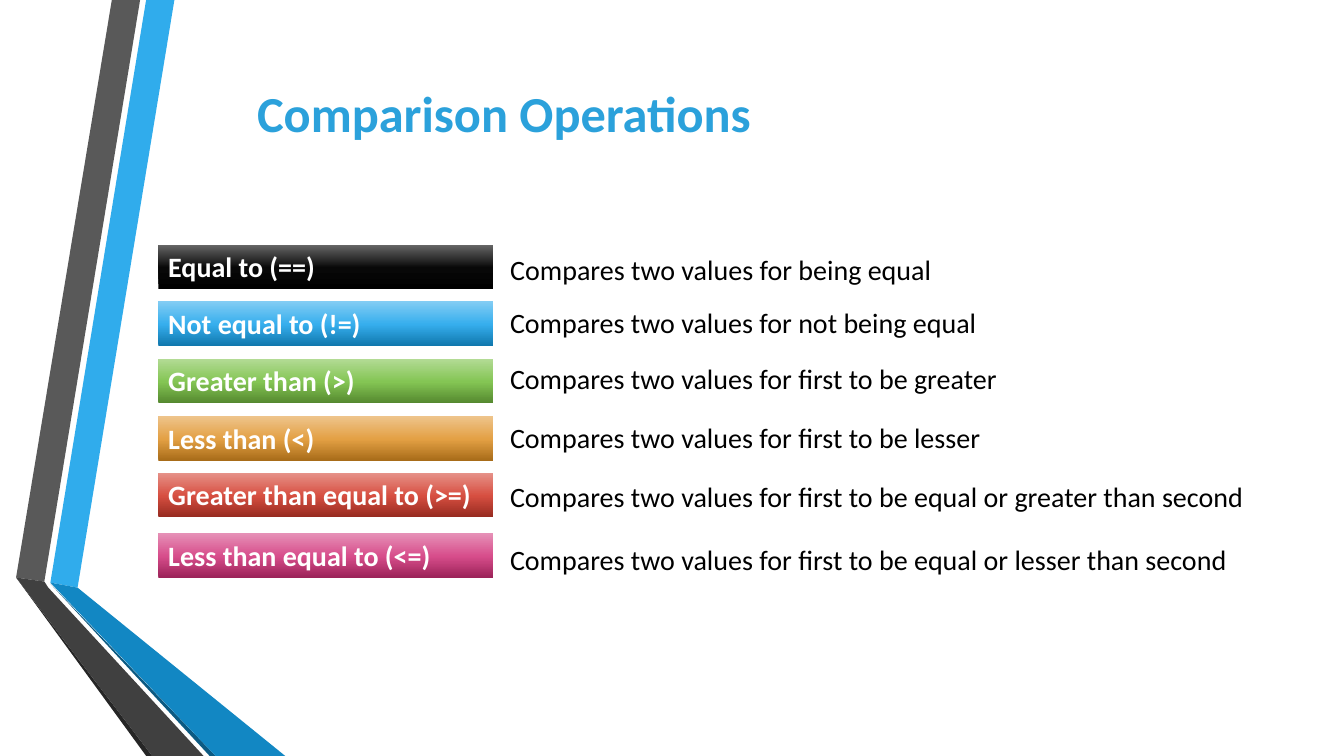
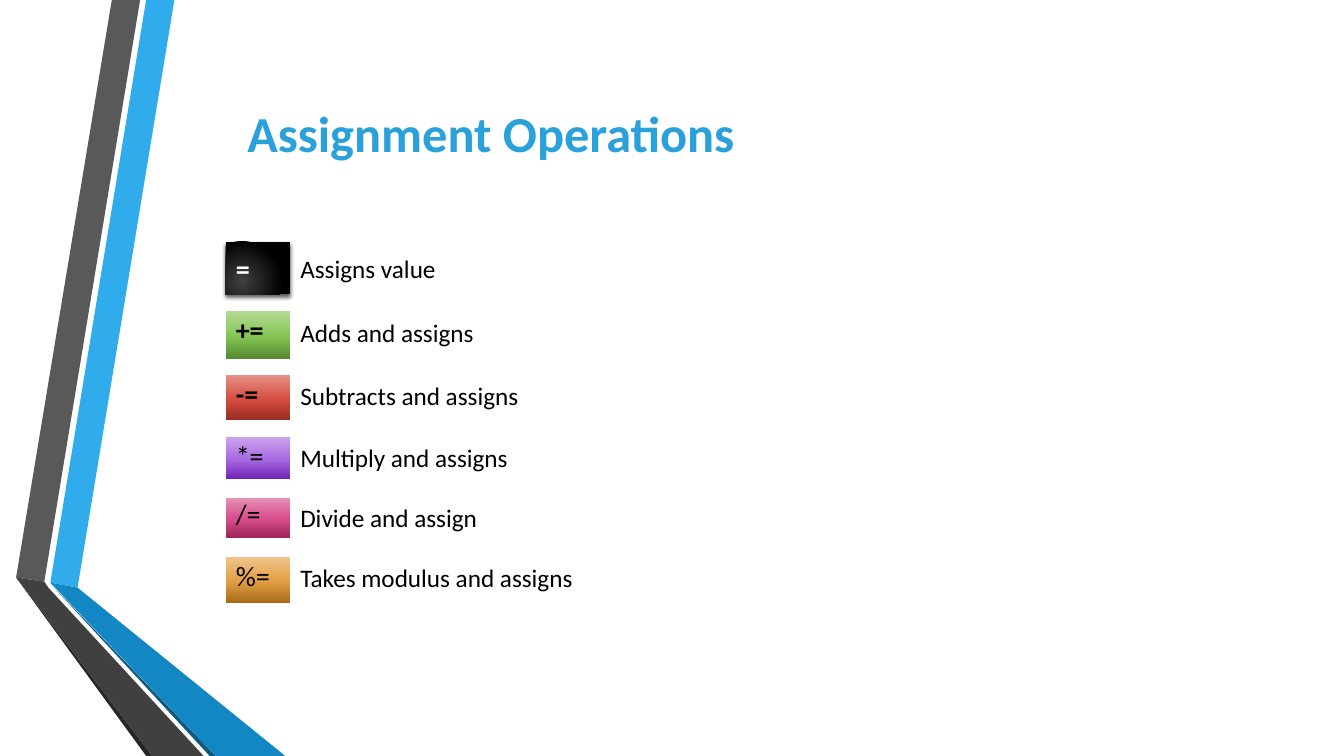
"""Build two slides on comparison and assignment operators."""
import pptx
import pptx.dml.color
import pptx.enum.shapes
import pptx.enum.text
import pptx.oxml
import pptx.oxml.ns
import pptx.util

Inches = pptx.util.Inches
ANCHOR = pptx.enum.text.MSO_ANCHOR
ALIGN = pptx.enum.text.PP_ALIGN
RECTANGLE = pptx.enum.shapes.MSO_SHAPE.RECTANGLE

COLORS = {
    "title": "2BA1DB", "text": "000000", "light": "FFFFFF",
    "blue": "30ACEC", "blue fold": "1287C3", "blue edge": "0C5A82",
    "gray": "595959", "gray fold": "404040", "gray edge": "262626",
}
GRADIENTS = {
    "black": ("000000", "080808", "666666"),
    "blue": ("1078AE", "36AEED", "83CDF4"),
    "green": ("55892F", "84C554", "B3DB95"),
    "orange": ("A86C19", "E3A044", "EEC48B"),
    "red": ("972B20", "D74F41", "E69289"),
    "purple": ("7124B7", "A96BE2", "CAA3ED"),
    "pink": ("9C2359", "D74D8B", "E691B7"),
    "glow": ("404040", "000000"),
}
LINEAR = '<a:lin ang="16200000" scaled="0"/>'
RADIAL = '<a:path path="circle"><a:fillToRect l="50000" t="100000" r="100000" b="50000"/></a:path>'
NAMESPACE = pptx.oxml.ns.nsdecls("a")


def write_text(shape, text, size=20, color="text", bold=False, align=ALIGN.LEFT,
               anchor=ANCHOR.TOP, spacing=1.0):
    """Put one formatted paragraph into a shape."""
    frame = shape.text_frame
    frame.word_wrap = True
    frame.auto_size = pptx.enum.text.MSO_AUTO_SIZE.NONE
    frame.vertical_anchor = anchor
    paragraph = frame.paragraphs[0]
    if shape.is_placeholder:
        properties = paragraph._p.get_or_add_pPr()
        properties.set("marL", "0")
        properties.set("indent", "0")
        properties.append(pptx.oxml.parse_xml(f"<a:buNone {NAMESPACE}/>"))
    paragraph.alignment = align
    paragraph.line_spacing = spacing
    paragraph.space_before = pptx.util.Pt(0)
    run = paragraph.add_run()
    run.text = text
    run.font.name = "Calibri"
    run.font.size = pptx.util.Pt(size)
    run.font.bold = bold
    run.font.color.rgb = pptx.dml.color.RGBColor.from_string(COLORS[color])


def fill_gradient(shape, name, direction=LINEAR):
    """Fill a shape with a named gradient, without outline or shadow."""
    shape.fill.gradient()
    gradient = shape.element.spPr.find(pptx.oxml.ns.qn("a:gradFill"))
    colors = GRADIENTS[name]
    positions = (0, 48000, 100000) if len(colors) == 3 else (0, 100000)
    stops = "".join(f'<a:gs pos="{position}"><a:srgbClr val="{color}"/></a:gs>'
                    for position, color in zip(positions, colors))
    gradient.getparent().replace(gradient, pptx.oxml.parse_xml(
        f'<a:gradFill {NAMESPACE} rotWithShape="1"><a:gsLst>{stops}</a:gsLst>{direction}</a:gradFill>'))
    shape.line.fill.background()
    shape.shadow.inherit = False


presentation = pptx.Presentation()
presentation.slide_width = Inches(13.33)
presentation.slide_height = Inches(7.5)
layout = presentation.slide_layouts[1]

titles = [
    ("Comparison Operations", 2.19, 0.8, 5.62, 0.63),
    ("Assignment Operations", 2.07, 0.94, 5.6, 0.74),
]
slides = []
for text, left, top, width, height in titles:
    slide = presentation.slides.add_slide(layout)
    title = slide.shapes.title
    title.left, title.top = Inches(left), Inches(top)
    title.width, title.height = Inches(width), Inches(height)
    write_text(title, text, size=36, color="title", bold=True,
               align=ALIGN.CENTER, anchor=ANCHOR.MIDDLE)
    slides.append(slide)
comparison_slide, assignment_slide = slides

bands = [
    ("blue", [(0.5, 5.78), (0.77, 5.83), (1.73, 0), (1.45, 0)]),
    ("gray", [(1.39, 0), (1.11, 0), (0.16, 5.73), (0.44, 5.77)]),
    ("gray edge", [(0.16, 5.73), (1.45, 7.5), (1.51, 7.5)]),
    ("blue edge", [(0.5, 5.79), (2.08, 7.5), (2.14, 7.5)]),
    ("blue fold", [(0.5, 5.78), (2.14, 7.5), (2.83, 7.5), (0.77, 5.83)]),
    ("gray fold", [(2.02, 7.5), (0.48, 5.83), (0.44, 5.77), (0.16, 5.73), (1.51, 7.5)]),
]
for number, (color, points) in enumerate(bands, start=101):
    corners = [(Inches(x), Inches(y)) for x, y in points]
    builder = comparison_slide.shapes.build_freeform(*corners[0])
    builder.add_line_segments(corners[1:], close=True)
    band = builder.convert_to_shape()
    band.fill.solid()
    band.fill.fore_color.rgb = pptx.dml.color.RGBColor.from_string(COLORS[color])
    band.line.fill.background()
    band.shadow.inherit = False
    band.element.nvSpPr.cNvPr.set("id", str(number))
    layout.shapes.element.append(band.element)

comparisons = [
    ("Equal to (==)", "black", 2.43, "Compares two values for being equal", 2.46),
    ("Not equal to (!=)", "blue", 2.99, "Compares two values for not being equal", 3.02),
    ("Greater than (>)", "green", 3.56, "Compares two values for first to be greater", 3.57),
    ("Less than (<)", "orange", 4.13, "Compares two values for first to be lesser", 4.16),
    ("Greater than equal to (>=)", "red", 4.69,
     "Compares two values for first to be equal or greater than second", 4.75),
    ("Less than equal to (<=)", "pink", 5.29,
     "Compares two values for first to be equal or lesser than second", 5.37),
]
for index, (operator, gradient_name, bar_top, meaning, meaning_top) in enumerate(comparisons):
    bar = comparison_slide.shapes.add_shape(
        RECTANGLE, Inches(1.57), Inches(bar_top), Inches(3.32), Inches(0.44))
    fill_gradient(bar, gradient_name)
    write_text(bar, operator, color="light", bold=True)
    place = Inches(4.96), Inches(meaning_top), Inches(7.61), Inches(0.42)
    if index == 0:
        description = comparison_slide.placeholders[1]
        description.left, description.top, description.width, description.height = place
        write_text(description, meaning, anchor=ANCHOR.MIDDLE)
    else:
        description = comparison_slide.shapes.add_textbox(*place)
        write_text(description, meaning, spacing=0.9)

assignments = [
    ("=", "glow", 2.4, 0.52, "Assigns value", 2.46),
    ("+=", "green", 3.09, 0.47, "Adds and assigns", 3.1),
    ("-=", "red", 3.72, 0.45, "Subtracts and assigns", 3.72),
    ("*=", "purple", 4.34, 0.41, "Multiply and assigns", 4.34),
    ("/=", "pink", 4.94, 0.4, "Divide and assign", 4.93),
    ("%=", "orange", 5.53, 0.45, "Takes modulus and assigns", 5.53),
]
for index, (operator, gradient_name, tile_top, height, meaning, meaning_top) in enumerate(assignments):
    place = Inches(2.24), Inches(tile_top), Inches(0.64), Inches(height)
    if index == 0:
        tile = assignment_slide.placeholders[1]
        tile.left, tile.top, tile.width, tile.height = place
        fill_gradient(tile, gradient_name, direction=RADIAL)
        effects = tile.element.spPr.find(pptx.oxml.ns.qn("a:effectLst"))
        effects.append(pptx.oxml.parse_xml(
            f'<a:outerShdw {NAMESPACE} blurRad="38100" dist="25400" dir="5400000" rotWithShape="0">'
            '<a:srgbClr val="000000"><a:alpha val="64000"/></a:srgbClr></a:outerShdw>'))
        write_text(tile, operator, color="light", bold=True, anchor=ANCHOR.MIDDLE)
    else:
        tile = assignment_slide.shapes.add_shape(RECTANGLE, *place)
        fill_gradient(tile, gradient_name)
        write_text(tile, operator, bold=index < 3, spacing=0.8 if operator == "/=" else 0.9)
    description = assignment_slide.shapes.add_textbox(
        Inches(2.88), Inches(meaning_top), Inches(3), Inches(0.4))
    write_text(description, meaning, size=18)

presentation.save("out.pptx")
